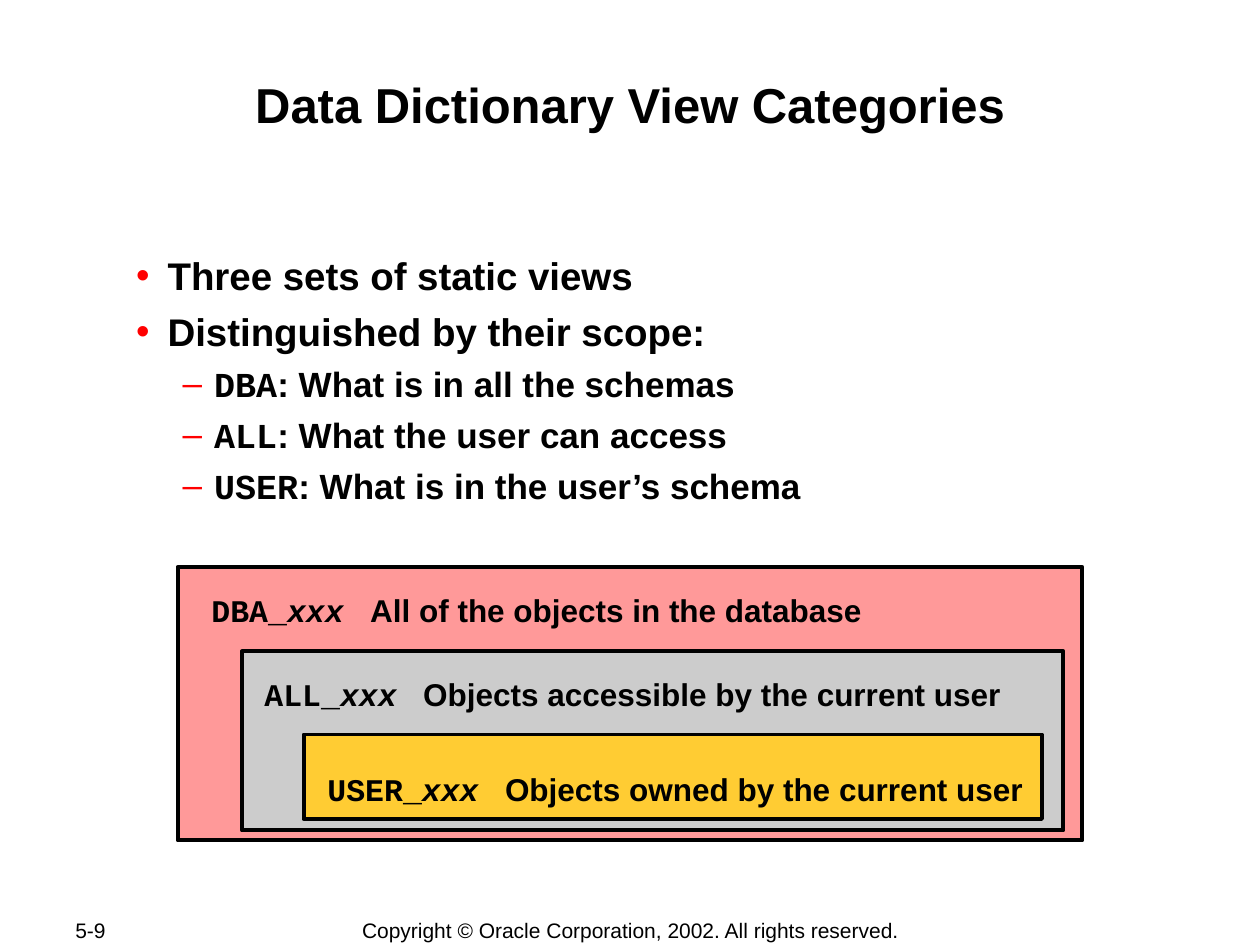
from lxml import etree
from pptx import Presentation
from pptx import util as u
from pptx.dml.color import RGBColor
from pptx.enum import shapes, text
from pptx.oxml.ns import qn

BLACK = RGBColor(0x00, 0x00, 0x00)
RED = RGBColor(0xFF, 0x00, 0x00)
PINK = RGBColor(0xFF, 0x99, 0x99)
GREY = RGBColor(0xCC, 0xCC, 0xCC)
GOLD = RGBColor(0xFF, 0xCC, 0x33)

SANS, MONO = "Arial", "Courier New"
TITLE = dict(name=SANS, size=u.Pt(28), bold=True)
POINT = dict(name=SANS, size=u.Pt(22), bold=True)
SUBPOINT = dict(POINT, size=u.Pt(20))
LABEL = dict(POINT, size=u.Pt(18))
FOOTER = dict(name=SANS, size=u.Pt(12), bold=False)


class Deck:
    """Holds the style and the current slide."""

    def __init__(self, width, height):
        self.prs = Presentation()
        self.prs.slide_width = u.Inches(width)
        self.prs.slide_height = u.Inches(height)
        self.s = self.prs.slides.add_slide(self.prs.slide_layouts[1])

    def place(self, sp, at):
        for side, value in zip(("left", "top", "width", "height"), at):
            setattr(sp, side, u.Inches(value))

    def frame(self, sp, inset, **fmt):
        tf = sp.text_frame
        margins = dict(zip(("margin_left", "margin_top", "margin_right", "margin_bottom"),
                           map(u.Inches, inset)))
        for key, value in dict(margins, **fmt).items():
            setattr(tf, key, value)
        return tf

    def run(self, p, words, style, **changes):
        r = p.add_run()
        r.text = words
        for key, value in dict(style, **changes).items():
            setattr(r.font, key, value)
        r.font.color.rgb = BLACK

    def placeholder(self, sp, at):
        self.place(sp, at)
        return self.frame(sp, [0.01] * 4, word_wrap=True,
                          vertical_anchor=text.MSO_ANCHOR.TOP,
                          auto_size=text.MSO_AUTO_SIZE.NONE)

    def title(self, words, at):
        p = self.placeholder(self.s.shapes.title, at).paragraphs[0]
        p.alignment = text.PP_ALIGN.CENTER
        p.space_before = u.Pt(0)
        self.run(p, words, TITLE)

    def bullet(self, p, char, indent):
        pPr = p._p.get_or_add_pPr()
        pPr.set("marL", str(u.Inches(indent)))
        pPr.set("indent", str(u.Inches(-0.25)))
        color = etree.SubElement(pPr, qn("a:buClr"))
        etree.SubElement(color, qn("a:srgbClr"), val=str(RED))
        etree.SubElement(pPr, qn("a:buFont"), typeface=SANS)
        etree.SubElement(pPr, qn("a:buChar"), char=char)

    def body(self, items, at):
        tf = self.placeholder(self.s.placeholders[1], at)
        for i, (code, words) in enumerate(items):
            p = tf.add_paragraph() if i else tf.paragraphs[0]
            p.level = 2 if code else 1
            p.space_before = u.Pt((5 if code else 5.5) if i else 0)
            if code:
                self.bullet(p, "–", 0.75)
                self.run(p, code, SUBPOINT, name=MONO)
                self.run(p, words, SUBPOINT)
            else:
                self.bullet(p, "•", 0.38)
                self.run(p, words, POINT)

    def box(self, at, fill):
        sp = self.s.shapes.add_shape(shapes.MSO_SHAPE.ROUNDED_RECTANGLE, *map(u.Inches, at))
        sp.adjustments[0] = 0
        sp.shadow.inherit = False
        sp.fill.solid()
        sp.fill.fore_color.rgb = fill
        sp.line.color.rgb = BLACK
        sp.line.width = u.Pt(2.25)

    def textbox(self, at, **fmt):
        sp = self.s.shapes.add_textbox(*map(u.Inches, at))
        return self.frame(sp, (0.1, 0.05, 0.1, 0.05), **fmt).paragraphs[0]

    def label(self, prefix, words, at):
        p = self.textbox(at, word_wrap=False)
        p.line_spacing = 1.2
        # The description starts a fixed gap after the monospaced view name
        stop = 0.15 * len(prefix + "xxx") + 0.21
        tabs = etree.SubElement(p._p.get_or_add_pPr(), qn("a:tabLst"))
        etree.SubElement(tabs, qn("a:tab"), pos=str(u.Inches(stop)), algn="l")
        self.run(p, prefix, LABEL, name=MONO)
        self.run(p, "xxx", LABEL, name=MONO, italic=True)
        self.run(p, "\t" + words, LABEL)

    def footer(self, words, at, align):
        p = self.textbox(at, word_wrap=True, vertical_anchor=text.MSO_ANCHOR.MIDDLE)
        p.alignment = align
        self.run(p, words, FOOTER)


def main():
    d = Deck(10, 7.5)

    # Footer
    d.footer("5-9", (0.5, 7.28, 1.06, 0.2), text.PP_ALIGN.LEFT)
    d.footer("Copyright © Oracle Corporation, 2002. All rights reserved.",
             (2.76, 7.28, 4.49, 0.21), text.PP_ALIGN.CENTER)

    # Title and list
    d.title("Data Dictionary View Categories", (1, 0.58, 8, 0.96))
    d.body([
        ("", "Three sets of static views"),
        ("", "Distinguished by their scope:"),
        ("DBA", ": What is in all the schemas"),
        ("ALL", ": What the user can access"),
        ("USER", ": What is in the user’s schema"),
    ], (0.94, 1.99, 8.06, 2.05))

    # Nested scopes, outermost first
    scopes = [
        ((1.41, 4.5, 7.18, 2.17), PINK, "DBA_",
         "All of the objects in the database", (1.58, 4.58, 5.36, 0.46)),
        ((1.92, 5.17, 6.52, 1.42), GREY, "ALL_",
         "Objects accessible by the current user", (2, 5.25, 6.05, 0.46)),
        ((2.41, 5.83, 5.86, 0.67), GOLD, "USER_",
         "Objects owned by the current user", (2.5, 6, 5.72, 0.46)),
    ]
    for box_at, fill, prefix, words, label_at in scopes:
        d.box(box_at, fill)
        d.label(prefix, words, label_at)

    d.prs.save("out.pptx")


if __name__ == "__main__":
    main()
